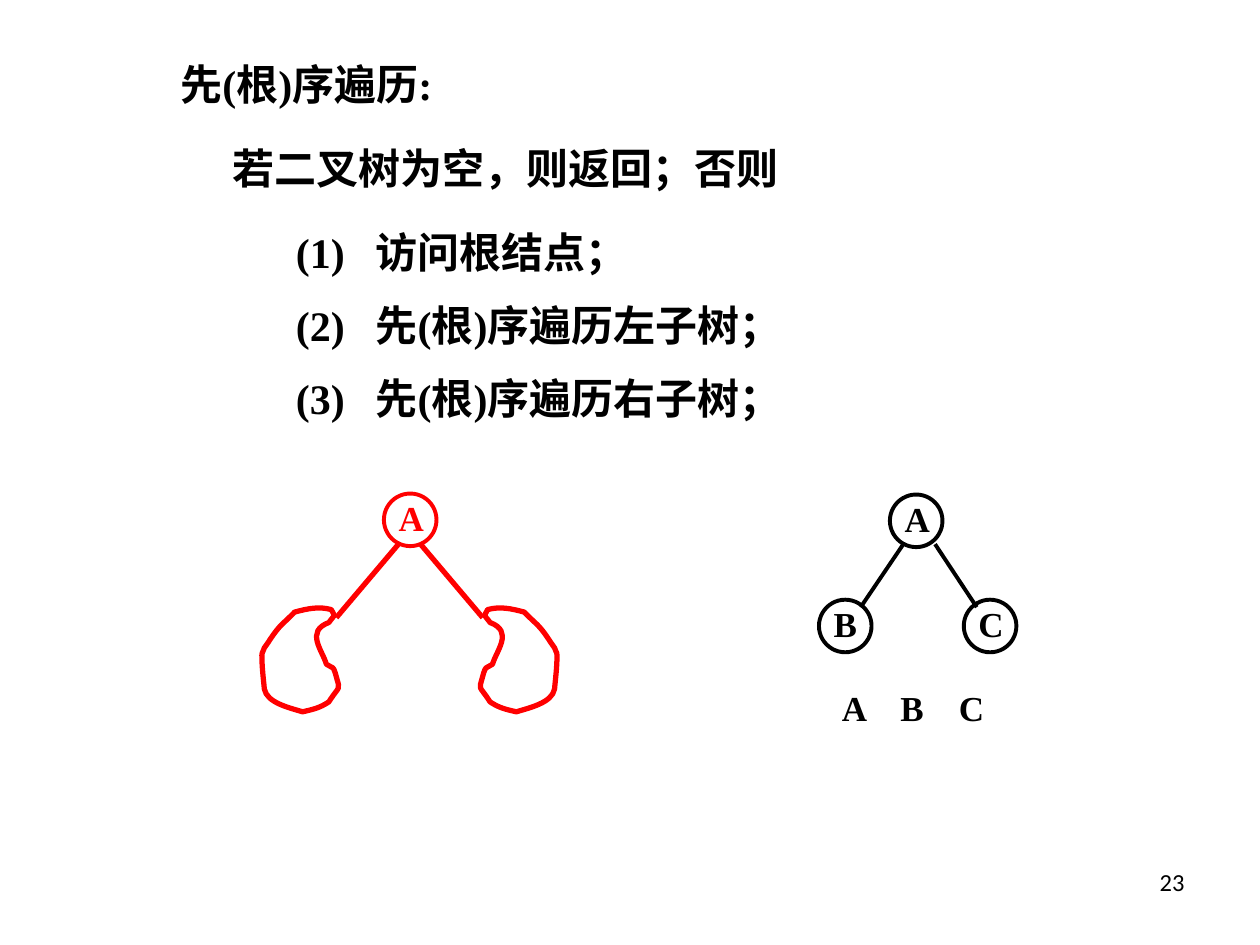
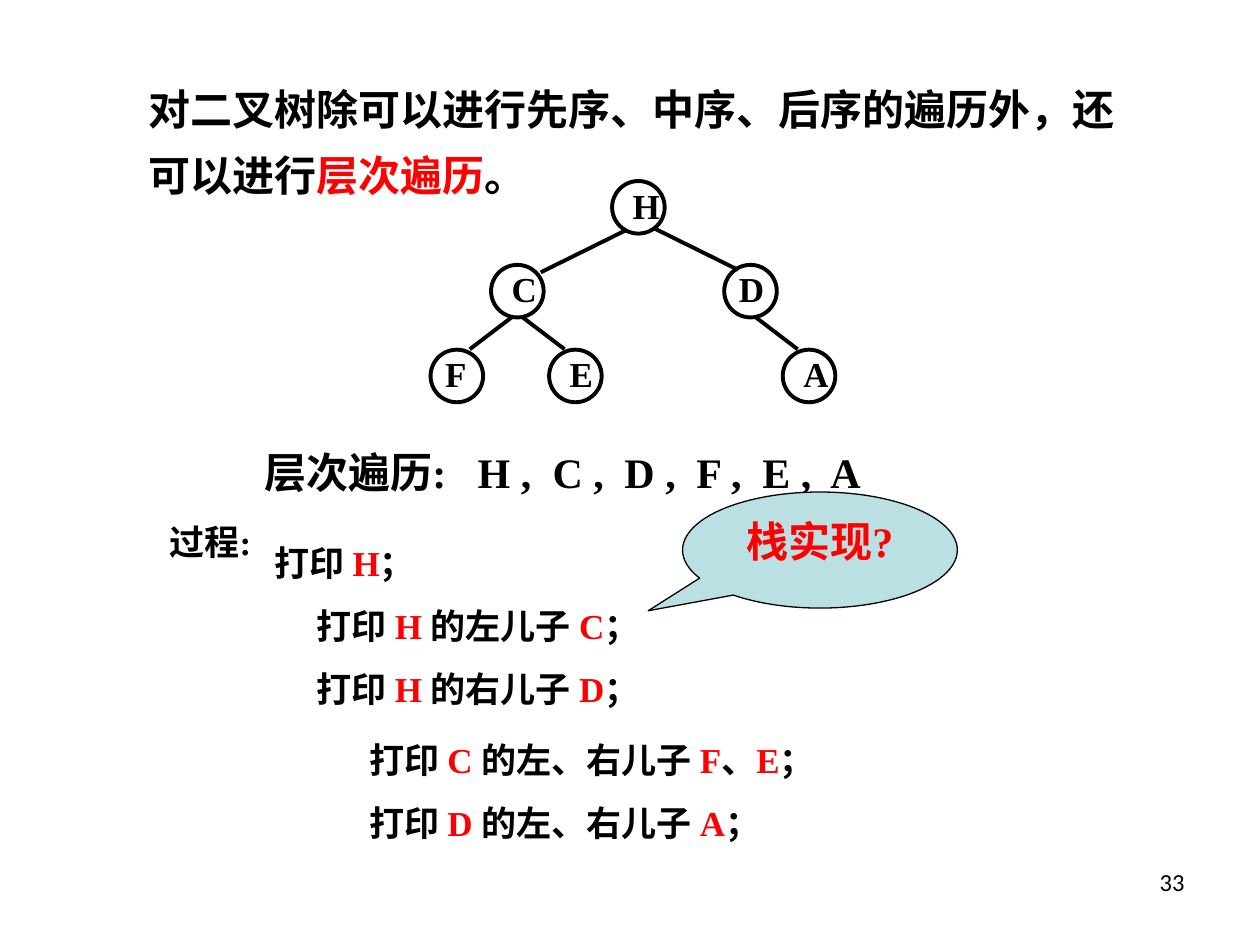
from dataclasses import dataclass

from lxml.etree import SubElement
from pptx import Presentation
from pptx.dml.color import RGBColor
from pptx.enum.shapes import MSO_CONNECTOR, MSO_SHAPE
from pptx.enum.text import MSO_ANCHOR, MSO_AUTO_SIZE, PP_ALIGN
from pptx.oxml.ns import qn
from pptx.util import Cm, Pt


@dataclass(frozen=True)
class Theme:
    black: RGBColor = RGBColor(0x00, 0x00, 0x00)
    red: RGBColor = RGBColor(0xFF, 0x00, 0x00)
    pale_blue: RGBColor = RGBColor(0xBB, 0xE0, 0xE3)
    text_font: str = "Times New Roman"
    number_font: str = "Calibri"
    heading: float = 24
    label: float = 20
    number: float = 14
    node_line: float = 2.25
    subtree_line: float = 3
    callout_line: float = 0.75
    node_size: float = 1.06


THEME = Theme()

# Left subtree in cm: start point, then cubic curves (two controls and an end)
SUBTREE_START = (6.68, 12.29)
SUBTREE_CURVES = [
    ((6.43, 12.22), (6.2, 12.27), (5.94, 12.34)),
    ((5.69, 12.6), (5.66, 12.57), (5.44, 12.9)),
    ((5.41, 12.95), (5.33, 13.06), (5.33, 13.06)),
    ((5.33, 13.11), (5.28, 13.13), (5.28, 13.21)),
    ((5.28, 13.44), (5.31, 13.67), (5.33, 13.89)),
    ((5.38, 14.17), (5.84, 14.27), (6.1, 14.35)),
    ((6.32, 14.3), (6.45, 14.27), (6.63, 14.15)),
    ((6.86, 13.79), (6.86, 13.94), (6.78, 13.64)),
    ((6.76, 13.59), (6.76, 13.54), (6.73, 13.49)),
    ((6.71, 13.44), (6.63, 13.44), (6.58, 13.39)),
    ((6.5, 13.11), (6.15, 12.73), (6.63, 12.55)),
    ((6.76, 12.37), (6.76, 12.45), (6.68, 12.29)),
]
MIRROR_SUM = 16.51  # left x + right x of the two subtrees


# ---- Text ----
def write_paragraph(para, text, size, color=THEME.black, font=THEME.text_font,
                    bold=True, align=PP_ALIGN.LEFT, before=0, indent=None,
                    hanging=0, tabs=()):
    """Write text into para; parts between asterisks are red."""
    properties = para._p.get_or_add_pPr()
    if indent is not None:
        properties.set("marL", str(Cm(indent + hanging)))
        properties.set("indent", str(-Cm(hanging)))
        SubElement(properties, qn("a:buNone"))
    if tabs:
        tab_list = SubElement(properties, qn("a:tabLst"))
        for position in tabs:
            SubElement(tab_list, qn("a:tab"), pos=str(Cm(position)), algn="l")
    para.alignment = align
    para.space_before = Pt(before)
    para.font.name = font
    para.font.size = Pt(size)
    para.font.bold = bold
    para.font.color.rgb = color
    for index, part in enumerate(text.split("*")):
        if part:
            span = para.add_run()
            span.text = part
            if index % 2:
                span.font.color.rgb = THEME.red


def prepare_frame(shape, anchor=MSO_ANCHOR.TOP):
    frame = shape.text_frame
    frame.word_wrap = True
    frame.auto_size = MSO_AUTO_SIZE.NONE
    frame.vertical_anchor = anchor
    return frame


def place(shape, left, top, width, height):
    shape.left, shape.top = Cm(left), Cm(top)
    shape.width, shape.height = Cm(width), Cm(height)


def add_text(page, text, left, top, width, height, size, **style):
    box = page.shapes.add_textbox(Cm(left), Cm(top), Cm(width), Cm(height))
    write_paragraph(prepare_frame(box).paragraphs[0], text, size, **style)


def set_title(page, text, left, top, width, height):
    place(page.shapes.title, left, top, width, height)
    para = prepare_frame(page.shapes.title).paragraphs[0]
    write_paragraph(para, text, THEME.heading)
    return para


def fill_body(page, items, left, top, width, height, size, **style):
    """Fill the body with (text, space before, indent) items."""
    body = page.placeholders[1]
    place(body, left, top, width, height)
    frame = prepare_frame(body)
    for index, (text, before, indent) in enumerate(items):
        para = frame.add_paragraph() if index else frame.paragraphs[0]
        write_paragraph(para, text, size, before=before, indent=indent, **style)


def add_page(deck, number):
    page = deck.slides.add_slide(deck.slide_layouts[1])
    add_text(page, number, 18.21, 17.35, 5.92, 1.32, THEME.number,
             font=THEME.number_font, bold=False, align=PP_ALIGN.RIGHT)
    return page


# ---- Trees ----
def set_line(shape, color, width):
    shape.line.color.rgb = color
    shape.line.width = Pt(width)


def add_node(page, letter, left, top, color=THEME.black, nudge=0):
    size = Cm(THEME.node_size)
    node = page.shapes.add_shape(MSO_SHAPE.OVAL, Cm(left), Cm(top), size, size)
    node.shadow.inherit = False
    node.fill.background()
    set_line(node, color, THEME.node_line)
    frame = prepare_frame(node, MSO_ANCHOR.MIDDLE)
    frame.margin_left = Cm(0.14 + nudge)
    frame.margin_right = frame.margin_top = 0
    frame.margin_bottom = Cm(0.09)
    write_paragraph(frame.paragraphs[0], letter, THEME.label, color=color)


def add_branch(page, start, end, color=THEME.black, width=THEME.node_line):
    branch = page.shapes.add_connector(
        MSO_CONNECTOR.STRAIGHT, *(Cm(value) for value in (*start, *end)))
    set_line(branch, color, width)
    SubElement(branch._element.spPr, qn("a:effectLst"))


def bend_segments(shape):
    """Turn every three straight segments of a freeform into one cubic curve."""
    segments = list(shape._element.iter(qn("a:lnTo")))
    for index in range(0, len(segments), 3):
        first, *others = segments[index:index + 3]
        first.tag = qn("a:cubicBezTo")
        for segment in others:
            first.append(segment[0])
            segment.getparent().remove(segment)


def add_subtree(page, mirrored):
    def flip(point):
        return (MIRROR_SUM - point[0], point[1]) if mirrored else point

    def to_lengths(point):
        return tuple(Cm(value) for value in flip(point))

    builder = page.shapes.build_freeform(*to_lengths(SUBTREE_START))
    builder.add_line_segments(
        [to_lengths(point) for curve in SUBTREE_CURVES for point in curve], close=False)
    subtree = builder.convert_to_shape()
    bend_segments(subtree)
    subtree.shadow.inherit = False
    subtree.fill.background()
    set_line(subtree, THEME.red, THEME.subtree_line)
    add_branch(page, flip((6.78, 12.45)), flip((8.05, 10.95)),
               THEME.red, THEME.subtree_line)


def add_callout(page, text, left, top, width, height):
    callout = page.shapes.add_shape(MSO_SHAPE.OVAL_CALLOUT, Cm(left), Cm(top),
                                    Cm(width), Cm(height))
    callout.adjustments[0] = -0.625
    callout.adjustments[1] = 0.523
    callout.shadow.inherit = False
    callout.fill.solid()
    callout.fill.fore_color.rgb = THEME.pale_blue
    set_line(callout, THEME.black, THEME.callout_line)
    write_paragraph(prepare_frame(callout).paragraphs[0], text, THEME.heading,
                    color=THEME.red, align=PP_ALIGN.CENTER)


# ---- Slides ----
def build_preorder(deck):
    page = add_page(deck, "23")
    set_title(page, "先(根)序遍历:", 3.38, 1.05, 17.58, 1.27)
    add_text(page, "若二叉树为空，则返回；否则", 4.44, 2.74, 14.61, 1.27, THEME.heading)
    steps = [("(1)\t访问根结点；", 0, 0),
             ("(2)\t先(根)序遍历左子树；", 13, 0),
             ("(3)\t先(根)序遍历右子树；", 13, 0)]
    fill_body(page, steps, 5.71, 4.44, 13.13, 4.24, THEME.heading,
              hanging=1.61, tabs=[1.61])

    # Root with two general subtrees
    for mirrored in (False, True):
        add_subtree(page, mirrored)
    add_node(page, "A", 7.74, 9.95, THEME.red)

    # Example with three nodes
    for letter, left, top in (("A", 17.94, 9.97), ("B", 16.51, 12.09),
                              ("C", 19.43, 12.09)):
        add_node(page, letter, left, top)
    add_branch(page, (17.35, 12.24), (18.21, 10.97))
    add_branch(page, (18.85, 10.97), (19.69, 12.24))
    add_text(page, "A\tB\tC", 16.72, 13.72, 7.19, 1.12, THEME.label,
             tabs=[1.18, 2.36])


def build_level_order(deck):
    page = add_page(deck, "33")
    title = set_title(
        page, "对二叉树除可以进行先序、中序、后序的遍历外，还可以进行*层次遍历*。",
        2.74, 1.26, 20.52, 2.9)
    title.line_spacing = 1.3

    # Tree, level by level
    nodes = [("H", 12.34, 3.65, 0.12),
             ("C", 9.9, 5.34, 0.12), ("D", 14.6, 5.34, 0),
             ("F", 8.68, 7.05, 0), ("E", 11.07, 7.05, 0.12), ("A", 15.78, 7.05, 0.12)]
    for letter, left, top, nudge in nodes:
        add_node(page, letter, left, top, nudge=nudge)
    branches = [((12.6, 4.65), (10.9, 5.49)), ((13.18, 4.6), (14.88, 5.44)),
                ((10.31, 6.4), (9.47, 7.04)), ((10.54, 6.4), (11.38, 7.04)),
                ((15.24, 6.4), (16.08, 7.04))]
    for start, end in branches:
        add_branch(page, start, end)

    # Result and the steps that lead to it
    add_text(page, "层次遍历:\tH ,\tC ,\tD ,\tF ,\tE ,\tA", 5.08, 8.87, 17.35, 1.27,
             THEME.heading, tabs=[4.3, 5.81, 7.26, 8.71, 10.04, 11.41])
    add_text(page, "过程:", 3.17, 10.36, 5.28, 1.12, THEME.label)
    steps = [("打印 *H*；", 0, 0),
             ("打印 *H *的左儿子 *C*；", 12, 0.85),
             ("打印 *H *的右儿子 *D*；", 12, 0.85),
             ("打印 *C *的左、右儿子 *F*、*E*；", 17, 1.91),
             ("打印 *D *的左、右儿子 *A*；", 12, 1.91)]
    fill_body(page, steps, 5.28, 10.78, 17.58, 6.38, THEME.label)
    add_callout(page, "栈实现?", 13.76, 9.92, 5.54, 2.34)


def main():
    deck = Presentation()
    deck.slide_width, deck.slide_height = Cm(25.4), Cm(19.05)
    build_preorder(deck)
    build_level_order(deck)
    deck.save("out.pptx")


if __name__ == "__main__":
    main()
